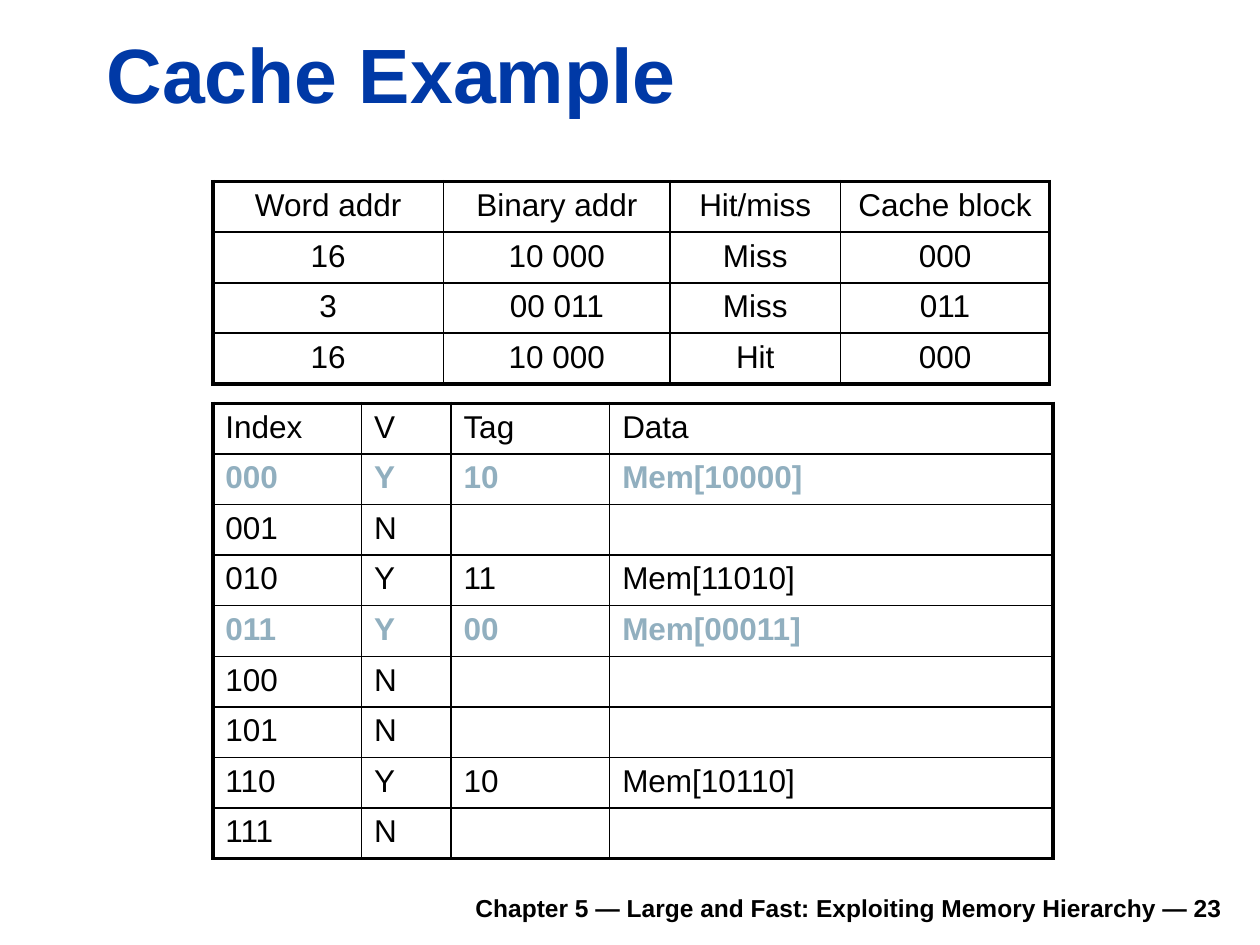
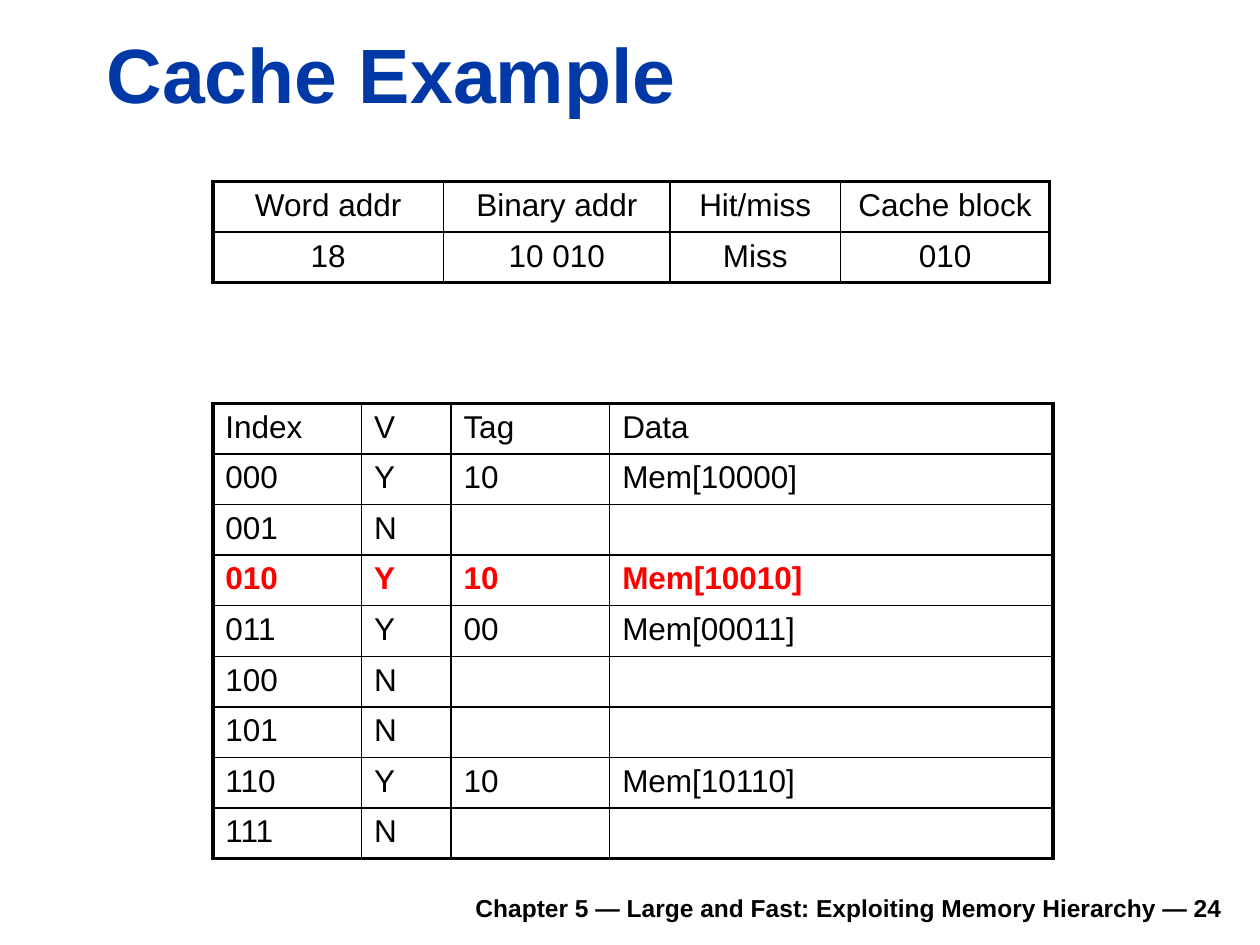
"""Build two slides that trace accesses to a direct-mapped cache."""
from dataclasses import dataclass

import lxml.etree
import pptx
import pptx.dml.color
import pptx.enum.text
import pptx.oxml.ns
import pptx.slide
import pptx.table
import pptx.text.text
import pptx.util

Cm = pptx.util.Cm
Pt = pptx.util.Pt
RGBColor = pptx.dml.color.RGBColor
Align = pptx.enum.text.PP_ALIGN
Anchor = pptx.enum.text.MSO_ANCHOR
qn = pptx.oxml.ns.qn

BLACK = RGBColor(0x00, 0x00, 0x00)
TITLE_BLUE = RGBColor(0x00, 0x39, 0xA6)
MUTED_BLUE = RGBColor(0x91, 0xAF, 0xBF)
RED = RGBColor(0xFF, 0x00, 0x00)

FONT = "Arial"
TITLE = "Cache Example"
FOOTER = "Chapter 5 — Large and Fast: Exploiting Memory Hierarchy — {}"
TABLE_LEFT = Cm(4.29)
ROW_HEIGHT = Cm(1.02)
OUTER_LINE = Pt(2.25)
HEADER_LINE = Pt(1.5)
THIN_LINE = Pt(1)

Row = tuple[str, ...]


@dataclass(frozen=True)
class TextStyle:
    size: pptx.util.Length
    color: RGBColor = BLACK
    bold: bool = False
    align: Align = Align.LEFT


@dataclass(frozen=True)
class Box:
    left: pptx.util.Length
    top: pptx.util.Length
    width: pptx.util.Length
    height: pptx.util.Length
    style: TextStyle


@dataclass(frozen=True)
class TableLayout:
    top: pptx.util.Length
    header: Row
    widths: tuple[pptx.util.Length, ...]
    align: Align
    row_line: pptx.util.Length


@dataclass(frozen=True)
class CacheStep:
    number: int
    accesses: list[Row]
    blocks: list[Row]
    changed: set[str]
    highlight: RGBColor


TITLE_BOX = Box(Cm(1.9), Cm(0.41), Cm(22.94), Cm(2.11),
                TextStyle(Pt(44), TITLE_BLUE, True))
FOOTER_BOX = Box(Cm(4.7), Cm(17.73), Cm(20.19), Cm(0.99),
                 TextStyle(Pt(14), BLACK, True, Align.RIGHT))
BLOCK_TABLE = TableLayout(
    Cm(8.13), ("Index", "V", "Tag", "Data"),
    (Cm(3), Cm(1.8), Cm(3.2), Cm(8.94)), Align.LEFT, THIN_LINE)
ACCESS_TABLE = TableLayout(
    Cm(3.66), ("Word addr", "Binary addr", "Hit/miss", "Cache block"),
    (Cm(4.65), Cm(4.57), Cm(3.43), Cm(4.22)), Align.CENTER, HEADER_LINE)


def cache_blocks(tags: dict[str, str]) -> list[Row]:
    """List all eight blocks, given the tags of the valid ones."""
    rows = []
    for number in range(8):
        index = f"{number:03b}"
        tag = tags.get(index)
        rows.append((index, "Y", tag, f"Mem[{tag}{index}]") if tag
                    else (index, "N", "", ""))
    return rows


STEPS = [
    CacheStep(23,
              [("16", "10 000", "Miss", "000"),
               ("3", "00 011", "Miss", "011"),
               ("16", "10 000", "Hit", "000")],
              cache_blocks({"000": "10", "010": "11", "011": "00", "110": "10"}),
              {"000", "011"}, MUTED_BLUE),
    CacheStep(24,
              [("18", "10 010", "Miss", "010")],
              cache_blocks({"000": "10", "010": "10", "011": "00", "110": "10"}),
              {"010"}, RED),
]


def write_text(paragraph: pptx.text.text._Paragraph, text: str, style: TextStyle) -> None:
    """Fill a paragraph with text in one style."""
    paragraph.text = text
    paragraph.alignment = style.align
    font = paragraph.font
    font.name, font.size, font.bold = FONT, style.size, style.bold
    font.color.rgb = style.color


def add_text(slide: pptx.slide.Slide, box: Box, text: str) -> None:
    """Add a bottom-anchored text box."""
    shape = slide.shapes.add_textbox(box.left, box.top, box.width, box.height)
    frame = shape.text_frame
    frame.word_wrap = True
    frame.vertical_anchor = Anchor.BOTTOM
    write_text(frame.paragraphs[0], text, box.style)


def set_borders(cell: pptx.table._Cell, **widths: pptx.util.Length) -> None:
    """Draw black cell borders, named L, R, T and B in that order."""
    properties = cell._tc.get_or_add_tcPr()
    for position, (side, width) in enumerate(widths.items()):
        line = lxml.etree.Element(qn(f"a:ln{side}"), w=str(int(width)))
        fill = lxml.etree.SubElement(line, qn("a:solidFill"))
        lxml.etree.SubElement(fill, qn("a:srgbClr"), val=str(BLACK))
        properties.insert(position, line)


def add_table(slide: pptx.slide.Slide, layout: TableLayout, body: list[Row],
              changed: set[str], highlight: RGBColor) -> None:
    """Add a ruled table, marking the rows whose first cell is in changed."""
    rows = [layout.header, *body]
    column_count = len(layout.widths)
    table = slide.shapes.add_table(
        len(rows), column_count, TABLE_LEFT, layout.top,
        sum(layout.widths), ROW_HEIGHT * len(rows)).table
    table.first_row = table.horz_banding = False
    for column, width in zip(table.columns, layout.widths):
        column.width = width
    horizontal = [OUTER_LINE, HEADER_LINE,
                  *[layout.row_line] * (len(body) - 1), OUTER_LINE]
    vertical = [OUTER_LINE, *[THIN_LINE] * (column_count - 1), OUTER_LINE]
    plain = TextStyle(Pt(18), align=layout.align)
    marked = TextStyle(Pt(18), highlight, True, layout.align)
    for r, values in enumerate(rows):
        table.rows[r].height = ROW_HEIGHT
        style = marked if values[0] in changed else plain
        for c, value in enumerate(values):
            cell = table.cell(r, c)
            cell.fill.background()
            write_text(cell.text_frame.paragraphs[0], value, style)
            set_borders(cell, L=vertical[c], R=vertical[c + 1],
                        T=horizontal[r], B=horizontal[r + 1])


def add_step(presentation: pptx.presentation.Presentation, step: CacheStep) -> None:
    """Add the slide of one cache step."""
    slide = presentation.slides.add_slide(presentation.slide_layouts[6])
    add_text(slide, FOOTER_BOX, FOOTER.format(step.number))
    add_text(slide, TITLE_BOX, TITLE)
    add_table(slide, BLOCK_TABLE, step.blocks, step.changed, step.highlight)
    add_table(slide, ACCESS_TABLE, step.accesses, set(), BLACK)


def main() -> None:
    """Build and save the presentation."""
    presentation = pptx.Presentation()
    presentation.slide_width, presentation.slide_height = Cm(25.4), Cm(19.05)
    for step in STEPS:
        add_step(presentation, step)
    presentation.save("out.pptx")


main()
